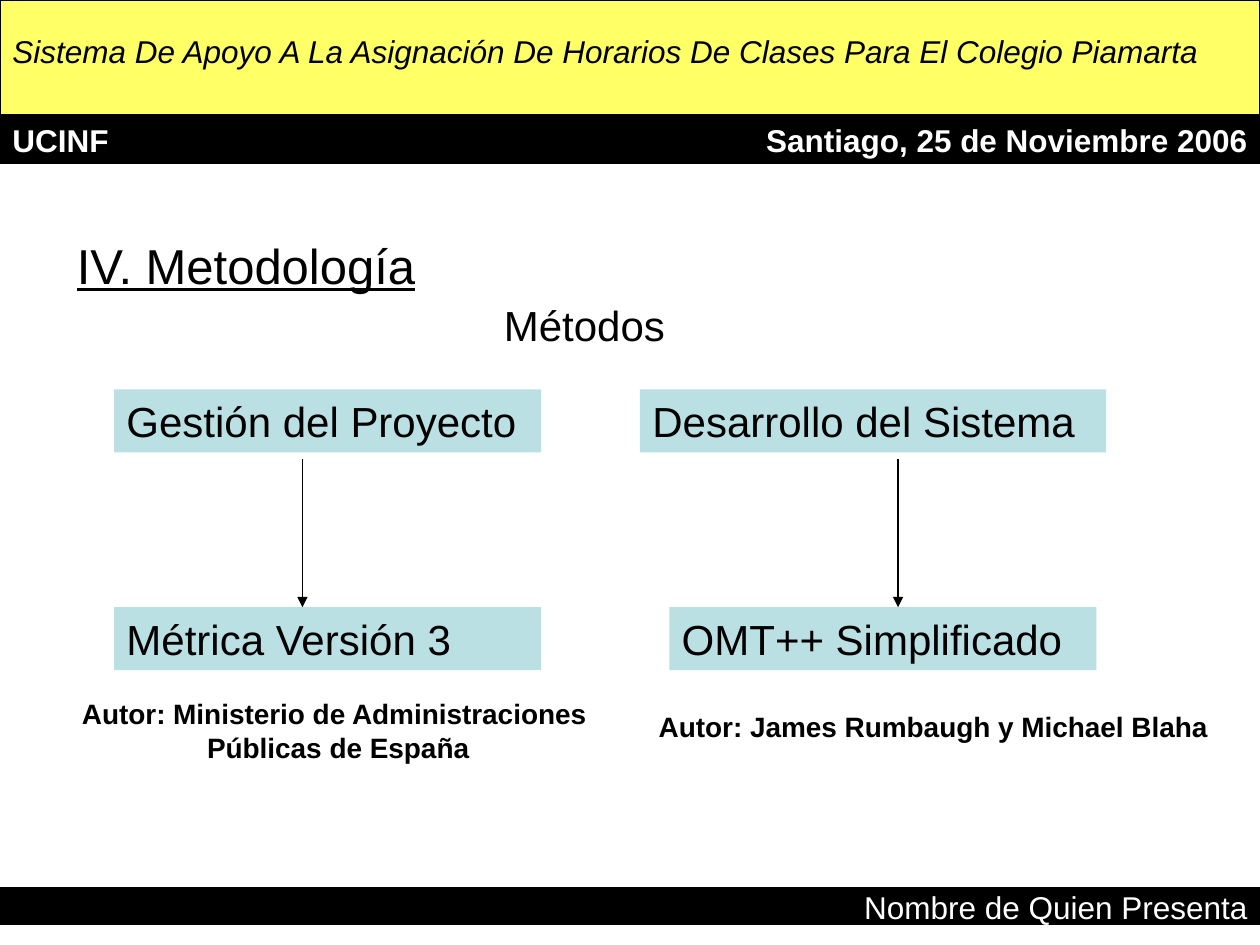
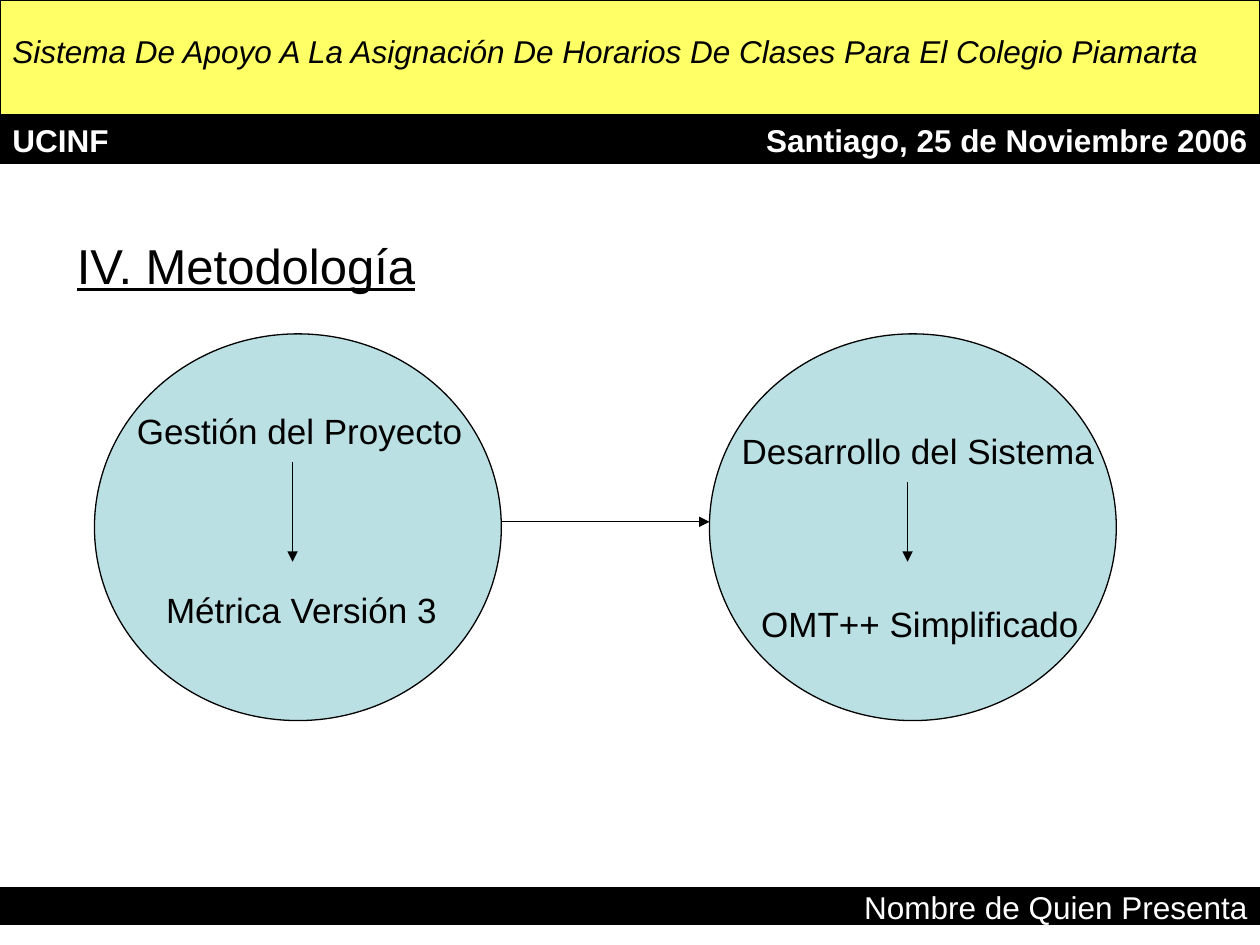
from pptx import Presentation
from pptx.dml.color import RGBColor
from pptx.enum.shapes import MSO_CONNECTOR, MSO_SHAPE
from pptx.enum.text import MSO_ANCHOR, MSO_AUTO_SIZE, PP_ALIGN
from pptx.oxml.ns import qn
from pptx.util import Pt
from lxml.etree import SubElement

COLORS = {"black": "000000", "white": "FFFFFF", "yellow": "FFFF66", "aqua": "BBE0E3"}
FONT = "Arial"
WIDTH, HEIGHT = 720, 540
HEAD = 65.5   # height of the yellow band
BAR = 28      # height of the black bar below it
LEFT, RIGHT, MID = PP_ALIGN.LEFT, PP_ALIGN.RIGHT, PP_ALIGN.CENTER


def color(name):
    return RGBColor.from_string(COLORS[name])


def write(shape, text, size, ink="black", align=LEFT, anchor=MSO_ANCHOR.TOP, **style):
    frame = shape.text_frame
    frame.word_wrap = True
    frame.auto_size = MSO_AUTO_SIZE.NONE
    frame.vertical_anchor = anchor
    frame.text = text
    for para in frame.paragraphs:
        para.alignment = align
        font = para.font
        font.name, font.size = FONT, Pt(size)
        font.color.rgb = color(ink)
        for key, value in style.items():
            setattr(font, key, value)


def label(slide, box, text, size, **style):
    write(slide.shapes.add_textbox(*map(Pt, box)), text, size, **style)


def block(slide, box, fill, kind=MSO_SHAPE.RECTANGLE, edge=True):
    shape = slide.shapes.add_shape(kind, *map(Pt, box))
    shape.shadow.inherit = False
    shape.fill.solid()
    shape.fill.fore_color.rgb = color(fill)
    if edge:
        shape.line.color.rgb = color("black")
        shape.line.width = Pt(0.75)
    else:
        shape.line.fill.background()
    return shape


def arrow(slide, *ends):
    link = slide.shapes.add_connector(MSO_CONNECTOR.STRAIGHT, *map(Pt, ends))
    link.line.color.rgb = color("black")
    link.line.width = Pt(0.75)
    props = link._element.spPr
    SubElement(props.find(qn("a:ln")), qn("a:tailEnd"), type="triangle")
    SubElement(props, qn("a:effectLst"))


def start(deck):
    """Add a slide with the shared bands, footer and title."""
    slide = deck.slides.add_slide(deck.slide_layouts[5])
    # Header
    block(slide, (0, 0, WIDTH, HEAD), "yellow")
    block(slide, (0, HEAD, WIDTH, BAR), "black")
    label(slide, (0, 15, WIDTH, 29),
          "Sistema De Apoyo A La Asignación De Horarios De Clases Para El Colegio Piamarta",
          18, italic=True)
    half = 320.4
    label(slide, (0, HEAD, half, 29), "UCINF", 18, ink="white", bold=True)
    label(slide, (WIDTH - half, HEAD, half, 29), "Santiago, 25 de Noviembre 2006",
          18, ink="white", align=RIGHT, bold=True)
    # Footer
    block(slide, (0, 507.5, WIDTH, 21), "black")
    label(slide, (337.7, 504, 382.3, 29), "Nombre de Quien Presenta",
          18, ink="white", align=RIGHT)
    # Title
    title = slide.shapes.title
    title.left, title.top, title.width, title.height = map(Pt, (36.7, 134, 683.3, 34.5))
    write(title, "IV. Metodología", 28, anchor=MSO_ANCHOR.MIDDLE, underline=True)
    return slide


def methods(deck):
    slide = start(deck)
    label(slide, (280.8, 167.8, 118.8, 36), "Métodos", 24)
    # Method boxes
    top, low, high = 222.5, 347, 36
    for left, y, width, text in (
        (65.2, top, 244, "Gestión del Proyecto"),
        (365.7, top, 266.4, "Desarrollo del Sistema"),
        (65.2, low, 244, "Métrica Versión 3"),
        (382.5, low, 244, "OMT++ Simplificado"),
    ):
        write(block(slide, (left, y, width, high), "aqua", edge=False), text, 24)
    for x in (172.8, 513.2):
        arrow(slide, x, 262.2, x, low)
    # Authors
    label(slide, (39.6, 394.6, 307.4, 46),
          "Autor: Ministerio de Administraciones \nPúblicas de España",
          16, align=MID, bold=True)
    label(slide, (369.3, 401.8, 332.7, 26.6), "Autor: James Rumbaugh y Michael Blaha",
          16, anchor=MSO_ANCHOR.MIDDLE, bold=True)


def circles(deck):
    slide = start(deck)
    wide, high, top = 232.5, 221, 190.8
    first, second = 54, 405.4
    for left in (first, second):
        block(slide, (left, top, wide, high), "aqua", MSO_SHAPE.OVAL)
    # Names inside the circles
    for left, y, width, text in (
        (71.2, 230.4, 203.8, "Gestión del Proyecto"),
        (416.7, 242, 232.5, "Desarrollo del Sistema"),
        (87.8, 332.6, 181.4, "Métrica Versión 3"),
        (427.9, 340.6, 204.5, "OMT++ Simplificado"),
    ):
        label(slide, (left, y, width, 31.5), text, 20)
    # Arrows
    for x, y in ((167.2, 264.3), (518.6, 275.7)):
        arrow(slide, x, y, x, 321)
    arrow(slide, first + wide, 298.2, second, 298.2)


def main():
    deck = Presentation()
    deck.slide_width, deck.slide_height = Pt(WIDTH), Pt(HEIGHT)
    methods(deck)
    circles(deck)
    deck.save("out.pptx")


if __name__ == "__main__":
    main()
